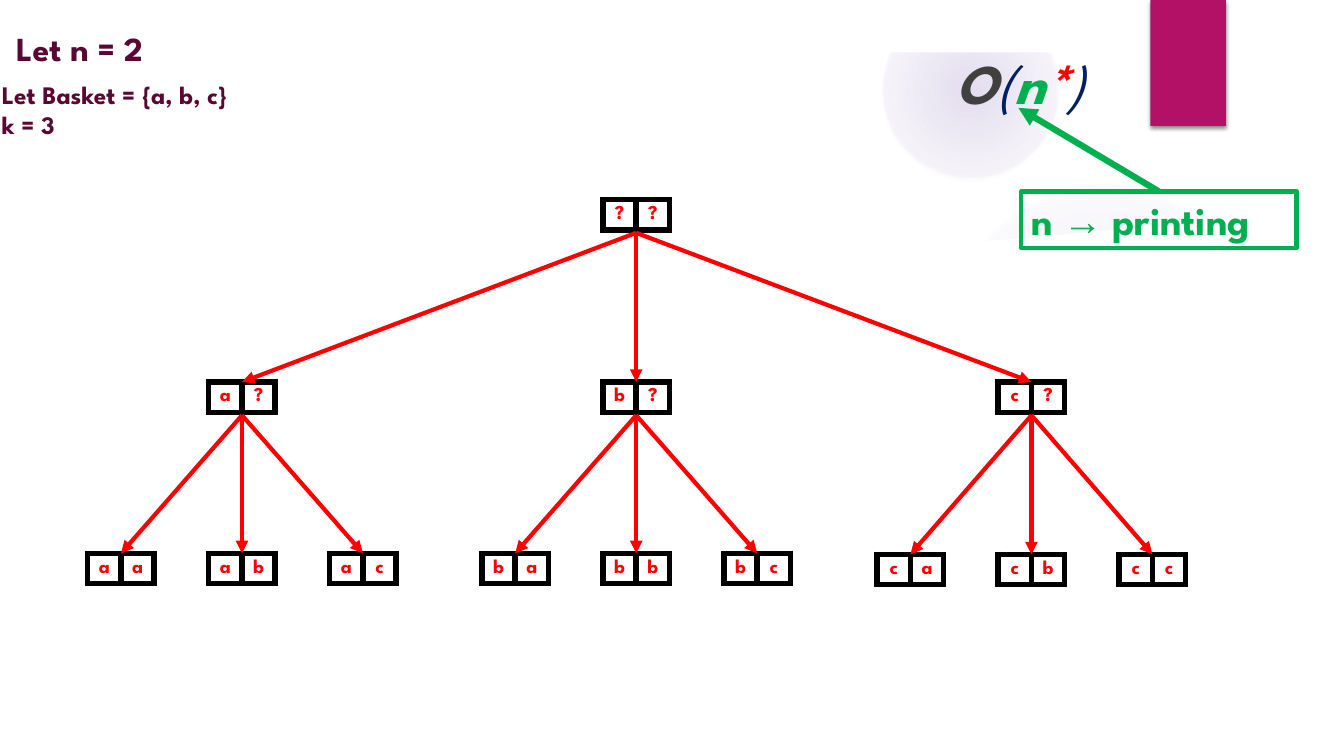
from lxml.etree import SubElement
from pptx import Presentation
from pptx.dml.color import RGBColor
from pptx.enum.shapes import MSO_CONNECTOR, MSO_SHAPE
from pptx.enum.text import MSO_ANCHOR, MSO_AUTO_SIZE, PP_ALIGN
from pptx.oxml import parse_xml
from pptx.oxml.ns import nsdecls, qn
from pptx.util import Inches, Pt

HUES = {"plum": "590833", "red": "FF0000", "green": "00B050", "navy": "002060",
        "gray": "404040", "black": "000000", "white": "FFFFFF",
        "pink": "B31166", "glow": "9B6BF2"}
FONT = "League Spartan"

TITLE = "Let n = 2"
NOTES = ["Let Basket = {a, b, c}", "k = 3"]
COST = [("O", "gray", True), ("(", "navy", False), ("n", "green", True),
        ("*", "red", True), (")", "navy", False)]
LABEL = [("n ", FONT), ("→", "Arial"), (" printing", FONT)]

ROOT = (6.31, 1.98)
MIDS = [("a", 2.4, 5.49), ("b", 6.31, 5.49), ("c", 10.23, 5.5)]
MID_TOP = 3.79
STEP = 1.2
CELL = (0.33, 0.3)
DROP = 0.33

GLOWS = [(9.41, 1.83, 3.08, 7), (8.75, 0.01, 1.75, 14)]
PANEL = [(0.5, 7), (12.84, 7), (12.84, 2.04), (12, 2.17), (11.15, 2.27),
         (10.32, 2.35), (9.49, 2.41), (8.67, 2.45), (7.34, 2.48), (6.07, 2.47),
         (4.88, 2.43), (3.6, 2.36), (2.49, 2.27), (1.35, 2.15)]


def hue(name):
    return RGBColor.from_string(HUES[name])


def plain(shape, name):
    shape.shadow.inherit = False
    shape.fill.solid()
    shape.fill.fore_color.rgb = hue(name)
    shape.line.fill.background()
    return shape


def shade(shape):
    props = shape._element.spPr
    props.remove(props.find(qn("a:effectLst")))
    props.append(parse_xml(
        f'<a:effectLst {nsdecls("a")}><a:outerShdw blurRad="38100" dist="25400" '
        'dir="5400000" rotWithShape="0"><a:srgbClr val="000000">'
        '<a:alpha val="45000"/></a:srgbClr></a:outerShdw></a:effectLst>'))


def glow(left, top, size, alpha):
    shape = plain(slide.shapes.add_shape(
        MSO_SHAPE.OVAL, Inches(left), Inches(top), Inches(size), Inches(size)), "glow")
    stops = "".join(
        f'<a:gs pos="{pos}"><a:srgbClr val="{HUES["glow"]}">'
        f'<a:alpha val="{part * 1000}"/></a:srgbClr></a:gs>'
        for pos, part in ((0, alpha), (100000, 0)))
    props = shape._element.spPr
    props.replace(props.find(qn("a:solidFill")), parse_xml(
        f'<a:gradFill {nsdecls("a")}><a:gsLst>{stops}</a:gsLst><a:path path="circle">'
        '<a:fillToRect l="50000" t="50000" r="50000" b="50000"/></a:path></a:gradFill>'))
    shade(shape)


def block(left, top, width, height, name):
    return plain(slide.shapes.add_shape(
        MSO_SHAPE.RECTANGLE, Inches(left), Inches(top), Inches(width), Inches(height)), name)


def place(shape, left, top, width, height):
    shape.left, shape.top = Inches(left), Inches(top)
    shape.width, shape.height = Inches(width), Inches(height)
    frame = shape.text_frame
    frame.word_wrap = True
    frame.auto_size = MSO_AUTO_SIZE.NONE
    frame.vertical_anchor = MSO_ANCHOR.TOP
    return frame


def box(*spot):
    shape = slide.shapes.add_textbox(0, 0, 0, 0)
    return shape, place(shape, *spot)


def style(font, size, name, bold=True):
    font.name, font.size, font.bold = FONT, Pt(size), bold
    font.color.rgb = hue(name)


def pair(mid, top, words):
    wide, high = CELL
    table = slide.shapes.add_table(
        1, 2, Inches(mid - wide), Inches(top), Inches(2 * wide), Inches(high)).table
    table.first_row = table.horz_banding = False
    table.rows[0].height = Inches(high)
    for col, word in enumerate(words):
        table.columns[col].width = Inches(wide)
        cell = table.cell(0, col)
        cell.margin_left = cell.margin_right = 0
        cell.vertical_anchor = MSO_ANCHOR.MIDDLE
        for side in ("lnL", "lnR", "lnT", "lnB"):
            edge = SubElement(cell._tc.get_or_add_tcPr(), qn("a:" + side), w=str(Pt(4.48)))
            fill = SubElement(edge, qn("a:solidFill"))
            SubElement(fill, qn("a:srgbClr"), val=HUES["black"])
        cell.fill.background()
        cell.text = word
        para = cell.text_frame.paragraphs[0]
        para.alignment = PP_ALIGN.CENTER
        style(para.font, 14, "red")


def arrow(start, end, name, width):
    link = slide.shapes.add_connector(
        MSO_CONNECTOR.STRAIGHT, *(Inches(n) for n in (*start, *end)))
    link.line.color.rgb = hue(name)
    link.line.width = Pt(width)
    SubElement(link.line._get_or_add_ln(), qn("a:tailEnd"), type="triangle")
    SubElement(link._element.spPr, qn("a:effectLst"))
    return link


deck = Presentation()
deck.slide_width, deck.slide_height = Inches(13.33), Inches(7.5)
slide = deck.slides.add_slide(deck.slide_layouts[5])

for spot in GLOWS:
    glow(*spot)
form = slide.shapes.build_freeform(Inches(0.5), Inches(2.04))
form.add_line_segments([(Inches(x), Inches(y)) for x, y in PANEL])
plain(form.convert_to_shape(), "white")
block(8.7, 0, 1.9, 0.52, "white")
shade(block(11.41, 0, 0.75, 1.25, "pink"))

title = place(slide.shapes.title, 0.06, 0.23, 1.89, 0.5)
title.text = TITLE
title.paragraphs[0].alignment = PP_ALIGN.LEFT
style(title.paragraphs[0].font, 24, "plum")

notes = box(-0.08, 0.74, 3.29, 0.7)[1]
notes.text = "\n".join(NOTES)
for para in notes.paragraphs:
    style(para.font, 18, "plum")

pair(*ROOT, "??")
for word, mid, low in MIDS:
    pair(mid, MID_TOP, word + "?")
    arrow((ROOT[0], ROOT[1] + DROP), (mid, MID_TOP), "red", 3)
    for turn, (last, _, _) in enumerate(MIDS, -1):
        leaf = mid + turn * STEP
        pair(leaf, low, word + last)
        arrow((mid, MID_TOP + DROP), (leaf, low), "red", 3)

cost = box(9.38, 0.43, 1.79, 0.76)[1].paragraphs[0]
for word, name, bold in COST:
    run = cost.add_run()
    run.text = word
    style(run.font, 40, name, bold)
    run.font.italic = True

label, frame = box(10.13, 1.9, 2.73, 0.56)
label.line.color.rgb = hue("green")
label.line.width = Pt(3)
para = frame.paragraphs[0]
style(para.font, 28, "green")
for word, face in LABEL:
    run = para.add_run()
    run.text = word
    run.font.name = face
arrow((11.5, 1.9), (10.1, 1.07), "green", 4.5).begin_connect(label, 0)

deck.save("out.pptx")
